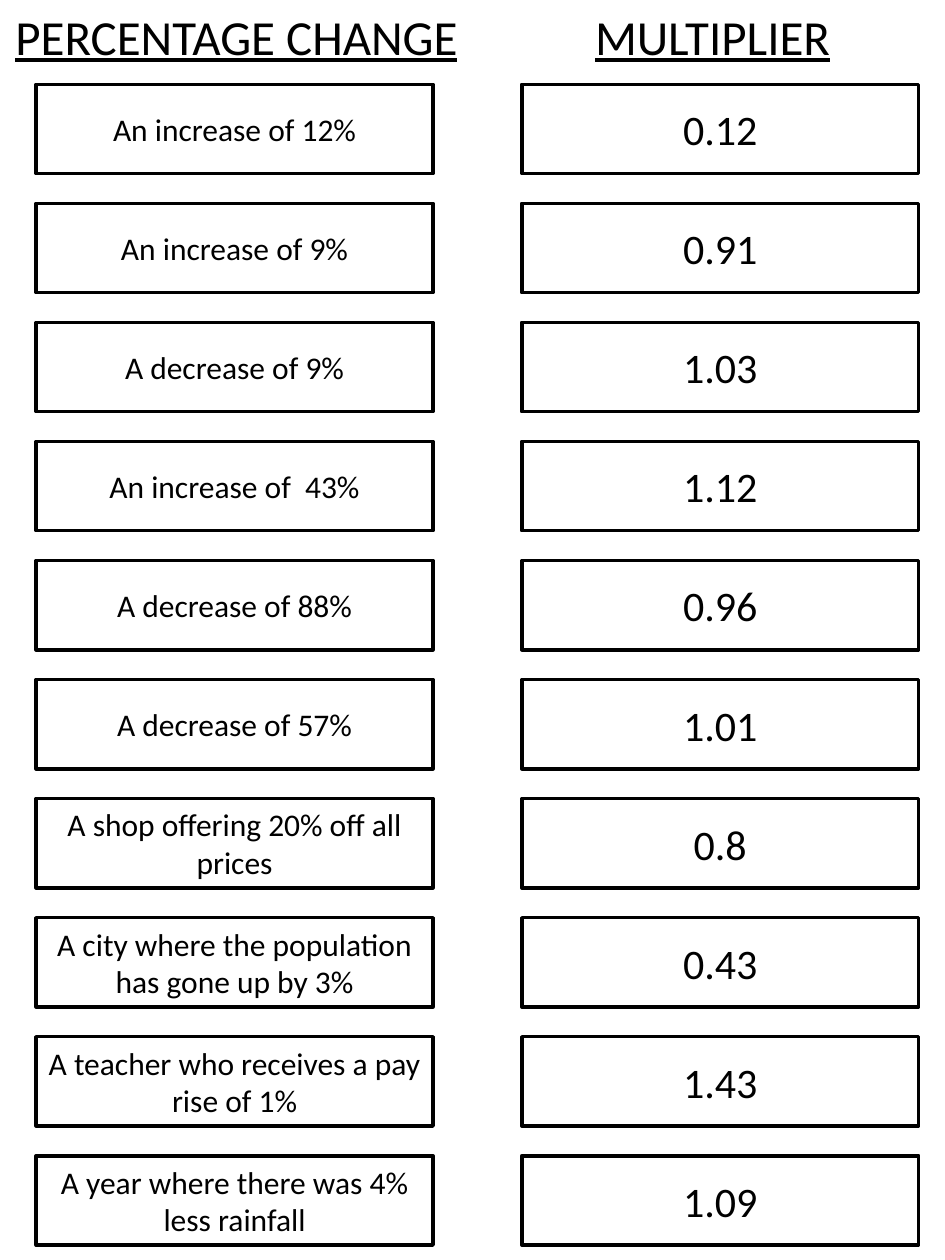
from dataclasses import dataclass

from pptx import Presentation
from pptx import util as u
from pptx.dml.color import RGBColor
from pptx.enum import shapes, text

FONT = "Calibri"
BLACK = "000000"
WHITE = "FFFFFF"
TOP, PITCH = 1.7, 2.4
WIDE, HIGH = 8, 1.8


@dataclass
class Column:
    head: str
    head_x: float
    card_x: float
    size: int
    cards: list[str]


COLUMNS = [
    Column("PERCENTAGE CHANGE", 0, 0.73, 18, [
        "An increase of 12%",
        "An increase of 9%",
        "A decrease of 9%",
        "An increase of  43%",
        "A decrease of 88%",
        "A decrease of 57%",
        "A shop offering 20% off all prices",
        "A city where the population has gone up by 3%",
        "A teacher who receives a pay rise of 1%",
        "A year where there was 4% less rainfall",
    ]),
    Column("MULTIPLIER", 9.6, 10.52, 24, [
        "0.12", "0.91", "1.03", "1.12", "0.96",
        "1.01", "0.8", "0.43", "1.43", "1.09",
    ]),
]


def paint(fmt, color: str) -> None:
    fmt.rgb = RGBColor.from_string(color)


def write(frame, words: str, size: int, under: bool = False) -> None:
    frame.word_wrap = True
    frame.text = words
    para = frame.paragraphs[0]
    para.alignment = text.PP_ALIGN.CENTER
    font = para.runs[0].font
    font.name = FONT
    font.size = u.Pt(size)
    if under:
        font.underline = True
    paint(font.color, BLACK)


def draw_head(slide, col: Column) -> None:
    box = slide.shapes.add_textbox(u.Cm(col.head_x), 0, u.Cm(9.53), u.Cm(1.45))
    box.text_frame.auto_size = text.MSO_AUTO_SIZE.SHAPE_TO_FIT_TEXT
    write(box.text_frame, col.head, 28, True)


def draw_card(slide, col: Column, row: int, words: str) -> None:
    card = slide.shapes.add_shape(
        shapes.MSO_SHAPE.RECTANGLE,
        u.Cm(col.card_x), u.Cm(TOP + row * PITCH), u.Cm(WIDE), u.Cm(HIGH))
    card.shadow.inherit = False
    card.fill.solid()
    paint(card.fill.fore_color, WHITE)
    paint(card.line.color, BLACK)
    card.line.width = u.Pt(2)
    card.text_frame.vertical_anchor = text.MSO_ANCHOR.MIDDLE
    write(card.text_frame, words, col.size)


def main() -> None:
    deck = Presentation()
    deck.slide_width = u.Cm(19.05)
    deck.slide_height = u.Cm(25.4)
    slide = deck.slides.add_slide(deck.slide_layouts.get_by_name("Blank"))
    for col in COLUMNS:
        draw_head(slide, col)
        for row, words in enumerate(col.cards):
            draw_card(slide, col, row, words)
    deck.save("out.pptx")


if __name__ == "__main__":
    main()
